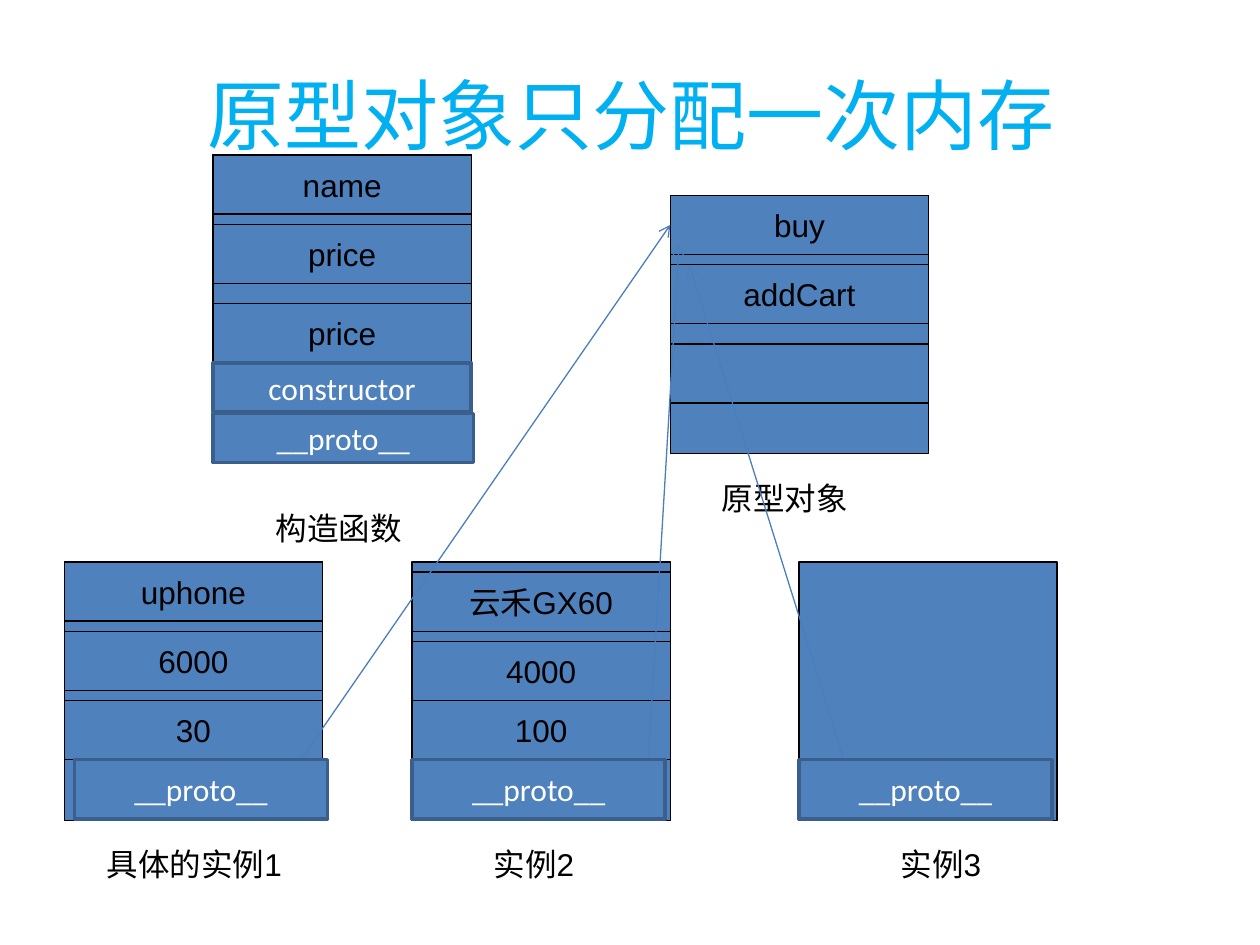
from dataclasses import dataclass
from typing import Optional

from lxml import etree
from pptx import Presentation
from pptx.dml.color import RGBColor
from pptx.enum.shapes import MSO_CONNECTOR, MSO_SHAPE
from pptx.enum.text import MSO_ANCHOR, MSO_AUTO_SIZE, PP_ALIGN
from pptx.oxml.ns import qn
from pptx.util import Inches, Pt

RECTANGLE = MSO_SHAPE.RECTANGLE
STRAIGHT = MSO_CONNECTOR.STRAIGHT
MIDDLE = MSO_ANCHOR.MIDDLE
CENTER = PP_ALIGN.CENTER
FIT_SHAPE = MSO_AUTO_SIZE.SHAPE_TO_FIT_TEXT
LEFT_SIDE = 1


@dataclass(frozen=True)
class Theme:
    title: RGBColor = RGBColor(0x00, 0xB0, 0xF0)
    fill: RGBColor = RGBColor(0x4F, 0x81, 0xBD)
    black: RGBColor = RGBColor(0x00, 0x00, 0x00)
    white: RGBColor = RGBColor(0xFF, 0xFF, 0xFF)
    slot_line: RGBColor = RGBColor(0x3A, 0x5F, 0x8C)
    arrow: RGBColor = RGBColor(0x4B, 0x7E, 0xBC)
    body_font: str = "Arial"
    heading_font: str = "Calibri"
    title_size: int = 44
    body_size: int = 18
    thin: float = 0.75
    thick: float = 2


THEME = Theme()
BLOCK_SIZE = 2.05
ROW_HEIGHT = 0.47
LABEL_HEIGHT = 0.4


@dataclass(frozen=True)
class Row:
    offset: float  # distance below the top of its block
    text: str


@dataclass(frozen=True)
class Block:
    left: float
    top: float
    rows: tuple[Row, ...] = ()


@dataclass(frozen=True)
class Label:
    left: float
    top: float
    width: float
    text: str


@dataclass(frozen=True)
class Slot:
    left: float
    top: float
    width: float
    height: float
    text: str


@dataclass(frozen=True)
class Arrow:
    start: tuple[float, float]
    end: tuple[float, float]
    target: Optional[str] = None  # text of the row it is joined to


CONSTRUCTOR = Block(1.69, 1.23, (Row(0, "name"), Row(0.55, "price"), Row(1.18, "price")))
PROTOTYPE = Block(5.32, 1.55, (Row(0, "buy"), Row(0.55, "addCart"), Row(1.18, "")))
INSTANCES = (
    Block(0.51, 4.46, (Row(0, "uphone"), Row(0.55, "6000"), Row(1.1, "30"))),
    Block(3.27, 4.46, (Row(0.08, "云禾GX60"), Row(0.63, "4000"), Row(1.1, "100"))),
    Block(6.34, 4.46),
)
LABELS = (
    Label(2.09, 3.99, 1.34, "构造函数"),
    Label(5.63, 3.75, 1.34, "原型对象"),
    Label(0.75, 6.66, 1.81, "具体的实例1"),
    Label(3.82, 6.66, 1.12, "实例2"),
    Label(7.05, 6.66, 1.12, "实例3"),
)
ARROWS = (
    Arrow((2.16, 6.36), (5.32, 1.78), "buy"),
    Arrow((5.12, 6.46), (5.39, 1.94)),
    Arrow((6.81, 6.39), (5.47, 2.1)),
)
SLOTS = (
    *(Slot(left, 6.03, 2.01, ROW_HEIGHT, "__proto__") for left in (0.59, 3.27, 6.34)),
    Slot(1.69, 2.88, 2.05, 0.39, "constructor"),
    Slot(1.69, 3.28, 2.07, 0.39, "__proto__"),
)


def add_run(paragraph, text: str, size: int, font: str, color: RGBColor) -> None:
    run = paragraph.add_run()
    run.text = text
    run.font.size = Pt(size)
    run.font.name = font
    run.font.color.rgb = color


def add_box(slide, left: float, top: float, width: float, height: float,
            line: RGBColor, weight: float):
    box = slide.shapes.add_shape(
        RECTANGLE, Inches(left), Inches(top), Inches(width), Inches(height))
    box.shadow.inherit = False
    box.fill.solid()
    box.fill.fore_color.rgb = THEME.fill
    box.line.color.rgb = line
    box.line.width = Pt(weight)
    return box


def add_box_text(box, text: str, font: str, color: RGBColor, wrap: bool) -> None:
    frame = box.text_frame
    frame.word_wrap = wrap
    frame.vertical_anchor = MIDDLE
    paragraph = frame.paragraphs[0]
    paragraph.alignment = CENTER
    add_run(paragraph, text, THEME.body_size, font, color)


def draw_title(slide, text: str) -> None:
    title = slide.shapes.title
    title.left, title.top = Inches(0.51), Inches(0.28)
    title.width, title.height = Inches(9), Inches(1.25)
    title.text_frame.vertical_anchor = MIDDLE
    paragraph = title.text_frame.paragraphs[0]
    paragraph.alignment = CENTER
    add_run(paragraph, text, THEME.title_size, THEME.heading_font, THEME.title)


def draw_block(slide, block: Block) -> dict:
    """Draw a memory block and return its row boxes by their text."""
    add_box(slide, block.left, block.top, BLOCK_SIZE, BLOCK_SIZE, THEME.black, THEME.thin)
    boxes = {}
    for row in block.rows:
        box = add_box(slide, block.left, block.top + row.offset, BLOCK_SIZE, ROW_HEIGHT,
                      THEME.black, THEME.thin)
        if row.text:
            add_box_text(box, row.text, THEME.body_font, THEME.black, wrap=False)
        boxes[row.text] = box
    return boxes


def draw_label(slide, label: Label) -> None:
    caption = slide.shapes.add_textbox(
        Inches(label.left), Inches(label.top), Inches(label.width), Inches(LABEL_HEIGHT))
    frame = caption.text_frame
    frame.word_wrap = True
    frame.auto_size = FIT_SHAPE
    add_run(frame.paragraphs[0], label.text, THEME.body_size, THEME.body_font, THEME.black)


def draw_arrow(slide, arrow: Arrow, row_boxes: dict) -> None:
    connector = slide.shapes.add_connector(
        STRAIGHT, *(Inches(value) for value in arrow.start + arrow.end))
    if arrow.target:
        connector.end_connect(row_boxes[arrow.target], LEFT_SIDE)
    connector.line.color.rgb = THEME.arrow
    connector.line.width = Pt(THEME.thin)
    etree.SubElement(connector.line._get_or_add_ln(), qn("a:tailEnd"), type="arrow")
    etree.SubElement(connector._element.spPr, qn("a:effectLst"))


def draw_slot(slide, slot: Slot) -> None:
    box = add_box(slide, slot.left, slot.top, slot.width, slot.height,
                  THEME.slot_line, THEME.thick)
    add_box_text(box, slot.text, THEME.heading_font, THEME.white, wrap=True)


def main() -> None:
    deck = Presentation()
    deck.slide_width, deck.slide_height = Inches(10), Inches(7.5)
    slide = deck.slides.add_slide(deck.slide_layouts[5])
    draw_title(slide, "原型对象只分配一次内存")

    # Memory blocks and their captions
    for block in (CONSTRUCTOR, *INSTANCES):
        draw_block(slide, block)
    prototype_rows = draw_block(slide, PROTOTYPE)
    for label in LABELS:
        draw_label(slide, label)

    # References to the prototype, then the slots that hold them
    for arrow in ARROWS:
        draw_arrow(slide, arrow, prototype_rows)
    for slot in SLOTS:
        draw_slot(slide, slot)

    deck.save("out.pptx")


if __name__ == "__main__":
    main()
